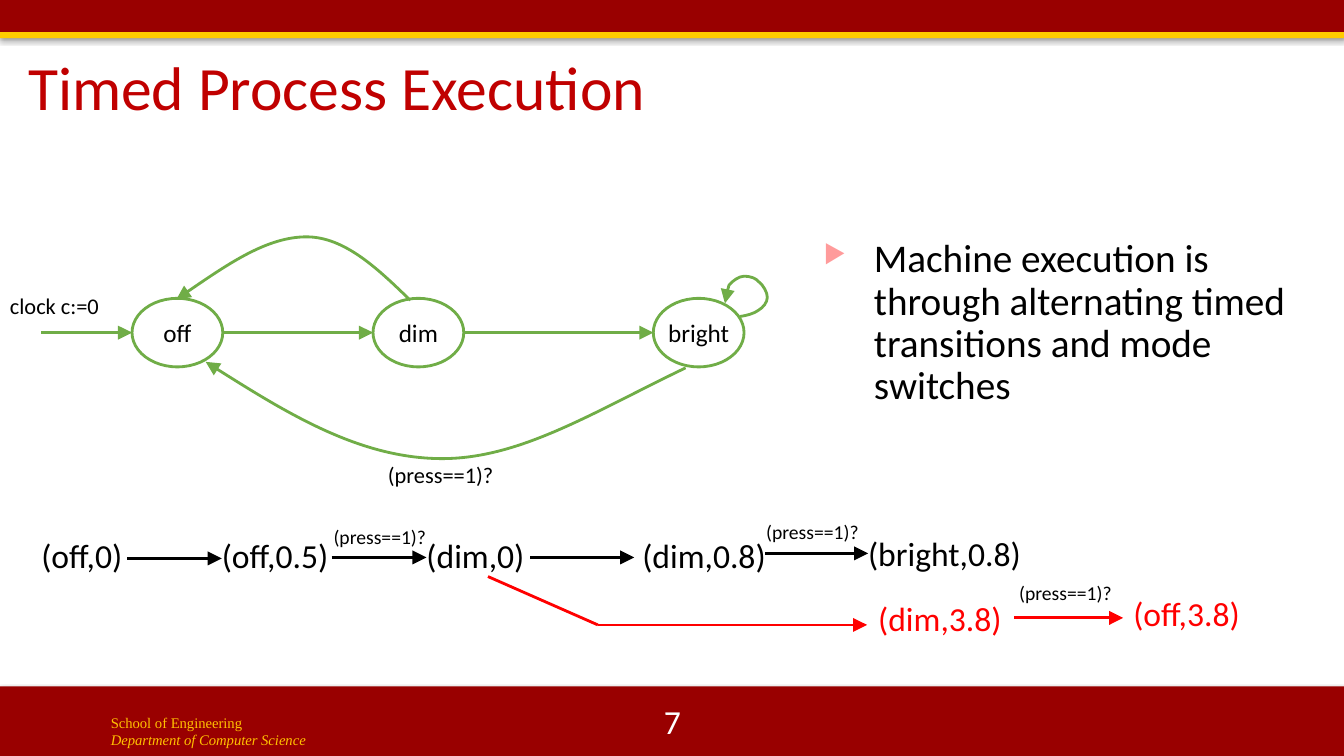
import pptx
import pptx.util
import pptx.dml.color
import pptx.enum.shapes
import pptx.enum.text
import pptx.oxml
import pptx.oxml.ns
from lxml import etree

Inches = pptx.util.Inches
Pt = pptx.util.Pt
SHAPE = pptx.enum.shapes.MSO_SHAPE
ALIGN = pptx.enum.text.PP_ALIGN
MIDDLE = pptx.enum.text.MSO_ANCHOR.MIDDLE
qn = pptx.oxml.ns.qn

GREEN, BLACK, RED = "70AD47", "000000", "FF0000"
GUARD = "(press==1)?"


def color(code):
    return pptx.dml.color.RGBColor.from_string(code)


def add(parent, tag, **attrs):
    return etree.SubElement(parent, qn(tag), {k: str(v) for k, v in attrs.items()})


def style(para, size, code, face="Calibri"):
    para.font.size = Pt(size)
    para.font.name = face
    para.font.color.rgb = color(code)


def write(slide, box, text, size, code=BLACK, inset=True, wrap=True, tight=True):
    shape = slide.shapes.add_textbox(*map(Inches, box))
    frame = shape.text_frame
    frame.word_wrap = wrap
    if not inset:
        frame.margin_left = frame.margin_right = 0
        frame.margin_top = frame.margin_bottom = 0
    para = frame.paragraphs[0]
    para.text = text
    style(para, size, code)
    if tight:
        para.line_spacing = 0.9
    return frame


def label(slide, box, text, size):
    write(slide, box, text, size, wrap=False, tight=False)


def stroke(shape, code, head=True):
    shape.line.color.rgb = color(code)
    shape.line.width = Pt(2)
    if head:
        add(shape.line._get_or_add_ln(), "a:tailEnd", type="triangle",
            w="lg", len="lg")


def arrow(slide, x1, y1, x2, y2, code, head=True):
    line = slide.shapes.add_connector(
        pptx.enum.shapes.MSO_CONNECTOR.STRAIGHT, *map(Inches, (x1, y1, x2, y2)))
    stroke(line, code, head)
    add(line._element.spPr, "a:effectLst")


def curve(slide, x, y, points):
    """Draw cubic segments: a start, then two controls and an end for each."""
    spots = [(Inches(x + px), Inches(y + py)) for px, py in points]
    pen = slide.shapes.build_freeform(*spots[0])
    pen.add_line_segments(spots[1:], close=False)
    shape = pen.convert_to_shape()
    track = shape._element.find(".//" + qn("a:path"))
    steps = track.findall(qn("a:lnTo"))
    for i in range(0, len(steps), 3):
        bend = add(track, "a:cubicBezTo")
        for step in steps[i:i + 3]:
            bend.append(step[0])
            track.remove(step)
    shape.fill.background()
    stroke(shape, GREEN)
    shape.shadow.inherit = False


def band(slide, box, code, alpha=35):
    shape = slide.shapes.add_shape(SHAPE.RECTANGLE, *map(Inches, box))
    shape.fill.solid()
    shape.fill.fore_color.rgb = color(code)
    shape.line.fill.background()
    shape.shadow.inherit = False
    glow = add(shape._element.spPr.find(qn("a:effectLst")), "a:outerShdw",
               blurRad=Pt(3.1), dist=Pt(1.8), dir=5400000, rotWithShape=0)
    add(add(glow, "a:srgbClr", val=BLACK), "a:alpha", val=alpha * 1000)


def header(slide, x, y, wide):
    band(slide, (x, y, wide, 0.33), "990000")
    band(slide, (x, y + 0.32, wide, 0.06), "FFCC00", 38)
    frame = write(slide, (x + 0.18, y + 0.47, 11.94, 0.85),
                  "Timed Process Execution", 44, "C00000")
    frame.vertical_anchor = MIDDLE


def footer(slide, x, y, wide):
    band(slide, (x, y, wide, 0.69), "990000")

    # School and department
    frame = write(slide, (x + 1, y + 0.22, 5.25, 0.47),
                  "School of Engineering", 10.5, tight=False)
    last = frame.add_paragraph()
    last.text = "Department of Computer Science"
    for para in frame.paragraphs:
        style(para, 10.5, "FFC000", "Times New Roman")
    last.font.italic = True

    # Page number
    page = write(slide, (x + 5.17, y + 0.14, 3, 0.4), "7", 24, "FFFFFF", tight=False)
    page.vertical_anchor = MIDDLE
    page.paragraphs[0].alignment = ALIGN.CENTER


def machine(slide, x, y):
    wide, high, mid = 0.9, 0.68, y + 0.95
    modes = {"off": x + 1.31, "dim": x + 3.7, "bright": x + 6.48}

    # Modes
    for name, left in modes.items():
        oval = slide.shapes.add_shape(
            SHAPE.OVAL, *map(Inches, (left, mid - high / 2, wide, high)))
        oval.fill.solid()
        oval.fill.fore_color.rgb = color("FFFFFF")
        stroke(oval, GREEN, head=False)
        oval.shadow.inherit = False
        frame = oval.text_frame
        frame.margin_left = frame.margin_right = 0
        frame.margin_top = frame.margin_bottom = 0
        frame.vertical_anchor = MIDDLE
        frame.word_wrap = True
        para = frame.paragraphs[0]
        para.text = name
        para.alignment = ALIGN.CENTER
        style(para, 18, BLACK)

    # Straight switches, each ending at the next mode
    start = x + 0.41
    for left in modes.values():
        arrow(slide, start, mid, left, mid, GREEN)
        start = left + wide

    # Curved switches: bright to off, bright to itself, dim to off
    curve(slide, x, y, [(6.8, 1.3), (5.88, 1.74), (5.15, 2.21), (4.36, 2.2),
                        (3.56, 2.19), (2.78, 1.71), (2.04, 1.24)])
    curve(slide, x, y, [(7.34, 0.79), (7.41, 0.78), (7.48, 0.76), (7.52, 0.73),
                        (7.57, 0.7), (7.61, 0.65), (7.61, 0.6),
                        (7.61, 0.55), (7.57, 0.48), (7.53, 0.45),
                        (7.5, 0.41), (7.44, 0.39), (7.38, 0.39),
                        (7.33, 0.39), (7.26, 0.44), (7.23, 0.48),
                        (7.22, 0.52), (7.2, 0.57), (7.19, 0.66)])
    curve(slide, x, y, [(4.07, 0.63), (3.75, 0.32), (3.42, 0), (3.04, 0),
                        (2.65, 0), (2.2, 0.31), (1.75, 0.62)])

    label(slide, (x + 3.75, y + 2.18, 1.26, 0.37), GUARD, 16)
    label(slide, (x, y + 0.5, 1.09, 0.37), "clock c:=0", 16)


def trace(slide, x, y):
    # States
    for text, left, top, wide, code in (
            ("(off,0)", 0, 0.25, 0.84, BLACK),
            ("(off,0.5)", 1.79, 0.25, 1.21, BLACK),
            ("(dim,0)", 3.82, 0.25, 1.21, BLACK),
            ("(dim,0.8)", 5.96, 0.25, 1.35, BLACK),
            ("(bright,0.8)", 8.2, 0.23, 1.69, BLACK),
            ("(dim,3.8)", 8.3, 0.88, 1.35, RED),
            ("(off,3.8)", 10.83, 0.83, 1.35, RED)):
        write(slide, (x + left, y + top, wide, 0.4), text, 24, code, inset=False)

    # Steps between states
    for left, right, top, code in (
            (0.85, 1.79, 0.44, BLACK), (2.88, 3.82, 0.43, BLACK),
            (4.85, 5.88, 0.43, BLACK), (7.18, 8.2, 0.39, BLACK),
            (5.52, 8.19, 1.1, RED), (9.65, 10.73, 1.03, RED)):
        arrow(slide, x + left, y + top, x + right, y + top, code)
    arrow(slide, x + 4.43, y + 0.62, x + 5.52, y + 1.1, RED, head=False)

    # Guards above the steps
    for left, top in ((2.8, 0.06), (7.09, 0.01), (9.6, 0.61)):
        label(slide, (x + left, y + top, 1.13, 0.34), GUARD, 14)


def remark(slide, box):
    frame = write(slide, box, "Machine execution is through alternating timed "
                  "transitions and mode switches", 28)
    props = frame.paragraphs[0]._p.get_or_add_pPr()
    props.set("marL", str(Inches(0.5)))
    props.set("indent", str(-Inches(0.5)))
    add(add(props, "a:buClr"), "a:srgbClr", val="FF9B9B")
    add(props, "a:buSzPct", val=65000)
    add(props, "a:buChar", char="▶")
    # Text defaults come last in the paragraph properties
    props.append(props.find(qn("a:defRPr")))


def main():
    deck = pptx.Presentation()
    deck.slide_width, deck.slide_height = Inches(13.33), Inches(7.5)
    slide = deck.slides.add_slide(deck.slide_layouts[6])
    header(slide, 0, 0, 13.33)
    footer(slide, 0, 6.81, 13.33)
    machine(slide, 0, 2.35)
    trace(slide, 0.41, 5.1)
    remark(slide, (8.07, 2.32, 5.27, 2.07))
    deck.save("out.pptx")


if __name__ == "__main__":
    main()
